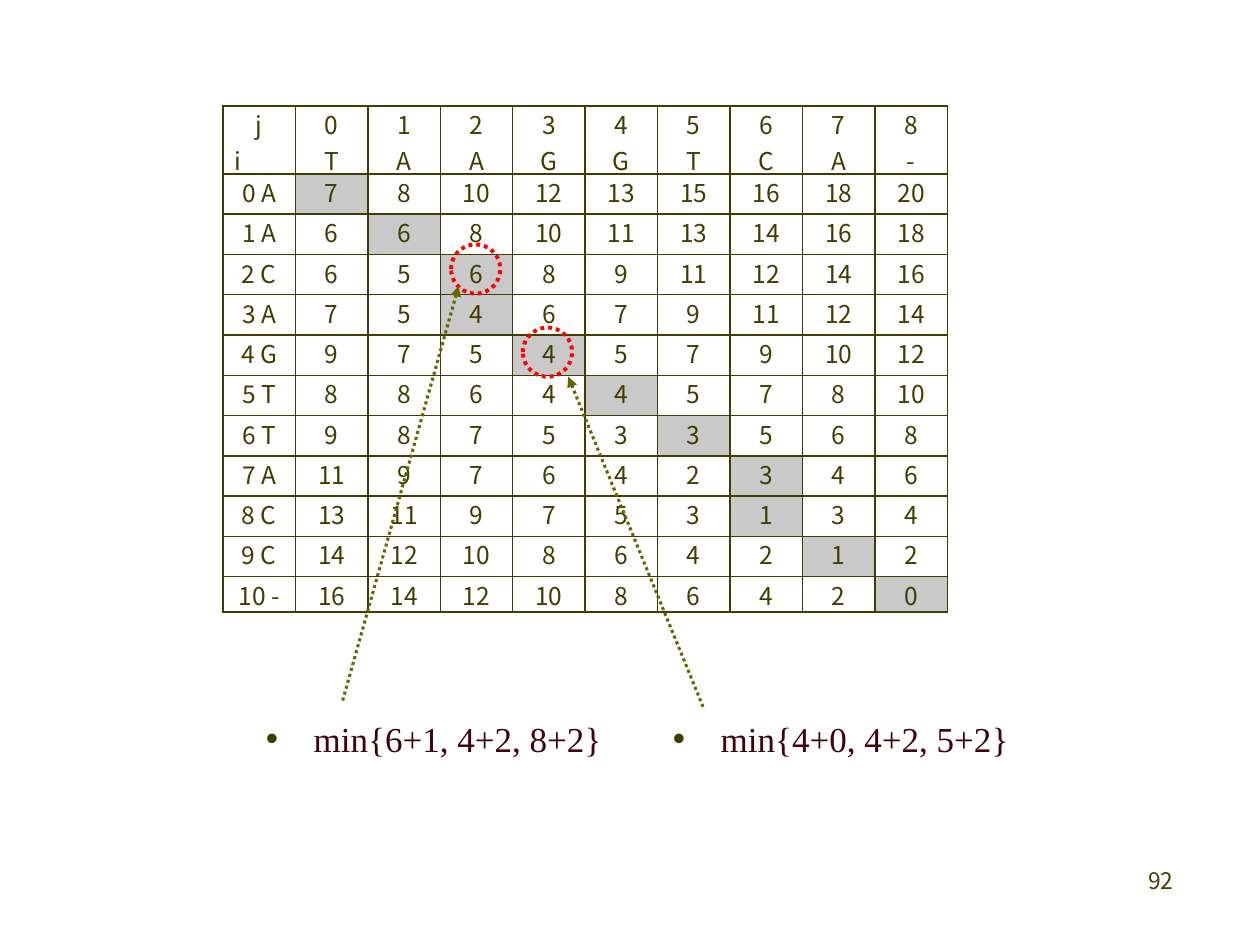
"""Builds the alignment table slide with its two highlighted minimum choices."""
from lxml import etree
from pptx import Presentation
from pptx.dml.color import RGBColor
from pptx.enum.dml import MSO_LINE
from pptx.enum.shapes import MSO_CONNECTOR, MSO_SHAPE
from pptx.enum.text import MSO_ANCHOR, MSO_AUTO_SIZE, PP_ALIGN
from pptx.oxml.ns import qn
from pptx.util import Inches, Pt

DOT = MSO_LINE.ROUND_DOT
STRAIGHT = MSO_CONNECTOR.STRAIGHT
OVAL = MSO_SHAPE.OVAL
TOP = MSO_ANCHOR.TOP
FIT = MSO_AUTO_SIZE.SHAPE_TO_FIT_TEXT
LEFT, CENTER, RIGHT = PP_ALIGN.LEFT, PP_ALIGN.CENTER, PP_ALIGN.RIGHT

HEADER = ["j\ni", "0\nT", "1\nA", "2\nA", "3\nG", "4\nG", "5\nT", "6\nC", "7\nA", "8\n-"]
LABELS = ["0 A", "1 A", "2 C", "3 A", "4 G", "5 T", "6 T", "7 A", "8 C", "9 C", "10 -"]
SCORES = [
    [7, 8, 10, 12, 13, 15, 16, 18, 20],
    [6, 6, 8, 10, 11, 13, 14, 16, 18],
    [6, 5, 6, 8, 9, 11, 12, 14, 16],
    [7, 5, 4, 6, 7, 9, 11, 12, 14],
    [9, 7, 5, 4, 5, 7, 9, 10, 12],
    [8, 8, 6, 4, 4, 5, 7, 8, 10],
    [9, 8, 7, 5, 3, 3, 5, 6, 8],
    [11, 9, 7, 6, 4, 2, 3, 4, 6],
    [13, 11, 9, 7, 5, 3, 1, 3, 4],
    [14, 12, 10, 8, 6, 4, 2, 1, 2],
    [16, 14, 12, 10, 8, 6, 4, 2, 0],
]
PATH_COLS = [0, 1, 2, 2, 3, 4, 5, 6, 6, 7, 8]
ROW_HEIGHTS = [0.54] + [0.32] * 10 + [0.28]


def rgb(value):
    """Return the colour for a hex string."""
    return RGBColor.from_string(value)


def add_solid(parent, value):
    """Append a solid fill to an XML element."""
    fill = etree.SubElement(parent, qn("a:solidFill"))
    etree.SubElement(fill, qn("a:srgbClr"), val=value)


class SlideBuilder:
    """Holds the style and the current slide."""

    ink, shade, ring, arrow_color, formula = "3F3E00", "C9C9C9", "FF0000", "666600", "3E020C"
    sans, serif = "Noto Sans CJK KR", "Times New Roman"

    def __init__(self, slide):
        """Keep the slide to draw on."""
        self.s = slide

    def styled_run(self, p, text, size, font, color):
        """Add one formatted run to a paragraph."""
        r = p.add_run()
        r.text = text
        for name, value in {"size": Pt(size), "name": font}.items():
            setattr(r.font, name, value)
        r.font.color.rgb = rgb(color)

    def place(self, sp, left, top, width, height):
        """Move and size a shape, in inches."""
        box = {"left": left, "top": top, "width": width, "height": height}
        for name, value in box.items():
            setattr(sp, name, Inches(value))

    def page_number(self, text, left, top, width, height):
        """Add the right-aligned page number."""
        sp = self.s.shapes.add_textbox(*map(Inches, (left, top, width, height)))
        sp.text_frame.word_wrap = True
        p = sp.text_frame.paragraphs[0]
        p.alignment = RIGHT
        self.styled_run(p, text, 13, self.sans, self.ink)

    def cell(self, cell, text, shaded):
        """Format one table cell and set its text."""
        margins = ("margin_left", "margin_right", "margin_top", "margin_bottom")
        for name, value in {**dict.fromkeys(margins, 0), "vertical_anchor": TOP}.items():
            setattr(cell, name, value)
        tc_pr = cell._tc.get_or_add_tcPr()
        for side in ("a:lnL", "a:lnR", "a:lnT", "a:lnB"):
            add_solid(etree.SubElement(tc_pr, qn(side), w=str(Pt(1))), self.ink)
        if shaded:
            cell.fill.solid()
            cell.fill.fore_color.rgb = rgb(self.shade)
        else:
            cell.fill.background()
        tf = cell.text_frame
        for i, line in enumerate(text.split("\n")):
            p = tf.add_paragraph() if i else tf.paragraphs[0]
            p.alignment = CENTER
            self.styled_run(p, line, 14, self.sans, self.ink)

    def table(self, rows, left, top, width):
        """Add the score table with its shaded path."""
        shape = self.s.shapes.add_table(len(rows), len(rows[0]), Inches(left), Inches(top),
                                        Inches(width), Inches(sum(ROW_HEIGHTS)))
        table = shape.table
        table.first_row = table.horz_banding = False
        for i, (row, height) in enumerate(zip(rows, ROW_HEIGHTS)):
            table.rows[i].height = Inches(height)
            for j, value in enumerate(row):
                shaded = i > 0 and j == PATH_COLS[i - 1] + 1
                self.cell(table.cell(i, j), str(value), shaded)
        corner = table.cell(0, 0).text_frame.paragraphs[1]
        corner.alignment = LEFT
        corner._p.get_or_add_pPr().set("marL", str(Inches(0.09)))

    def circle(self, left, top, size):
        """Add a dotted ring."""
        sp = self.s.shapes.add_shape(OVAL, *map(Inches, (left, top, size, size)))
        sp.shadow.inherit = False
        sp.fill.background()
        sp.line.color.rgb = rgb(self.ring)
        for name, value in {"width": Pt(2.25), "dash_style": DOT}.items():
            setattr(sp.line, name, value)

    def arrow(self, start, end):
        """Add a dotted arrow between two points."""
        sp = self.s.shapes.add_connector(STRAIGHT, *map(Inches, start + end))
        sp.line.color.rgb = rgb(self.arrow_color)
        for name, value in {"width": Pt(1.75), "dash_style": DOT}.items():
            setattr(sp.line, name, value)
        etree.SubElement(sp.line._get_or_add_ln(), qn("a:tailEnd"), type="triangle")
        etree.SubElement(sp.element.spPr, qn("a:effectLst"))

    def bullet(self, sp, text, left, top, width, height):
        """Set a one-line bullet in a body placeholder."""
        self.place(sp, left, top, width, height)
        tf = sp.text_frame
        for name, value in {"word_wrap": False, "auto_size": FIT, "vertical_anchor": TOP}.items():
            setattr(tf, name, value)
        p = tf.paragraphs[0]
        for name, value in {"line_spacing": 1.5, "space_before": Pt(0), "alignment": LEFT}.items():
            setattr(p, name, value)
        p_pr = p._p.get_or_add_pPr()
        for name, value in {"marL": 0.38, "indent": -0.38}.items():
            p_pr.set(name, str(Inches(value)))
        color = etree.SubElement(p_pr, qn("a:buClr"))
        etree.SubElement(color, qn("a:srgbClr"), val=self.ink)
        etree.SubElement(p_pr, qn("a:buChar"), char="•")
        self.styled_run(p, text, 20, self.serif, self.formula)


def main():
    """Build and save the slide."""
    prs = Presentation()
    prs.slide_width, prs.slide_height = Inches(10), Inches(7.5)
    s = prs.slides.add_slide(prs.slide_layouts[3])
    title, first, second = s.placeholders
    title.element.getparent().remove(title.element)
    b = SlideBuilder(s)
    b.page_number("92", 7.33, 6.83, 2.08, 0.5)
    rows = [HEADER] + [[label] + scores for label, scores in zip(LABELS, SCORES)]
    b.table(rows, 1.77, 0.84, 5.75)
    b.bullet(first, "min{6+1, 4+2, 8+2}", 2.01, 5.48, 2.88, 0.61)
    b.bullet(second, "min{4+0, 4+2, 5+2}", 5.24, 5.48, 2.97, 0.61)
    b.circle(3.58, 1.94, 0.39)
    b.arrow((2.72, 5.56), (3.64, 2.27))
    b.circle(4.15, 2.6, 0.39)
    b.arrow((5.58, 5.61), (4.51, 2.99))
    prs.save("out.pptx")


if __name__ == "__main__":
    main()
